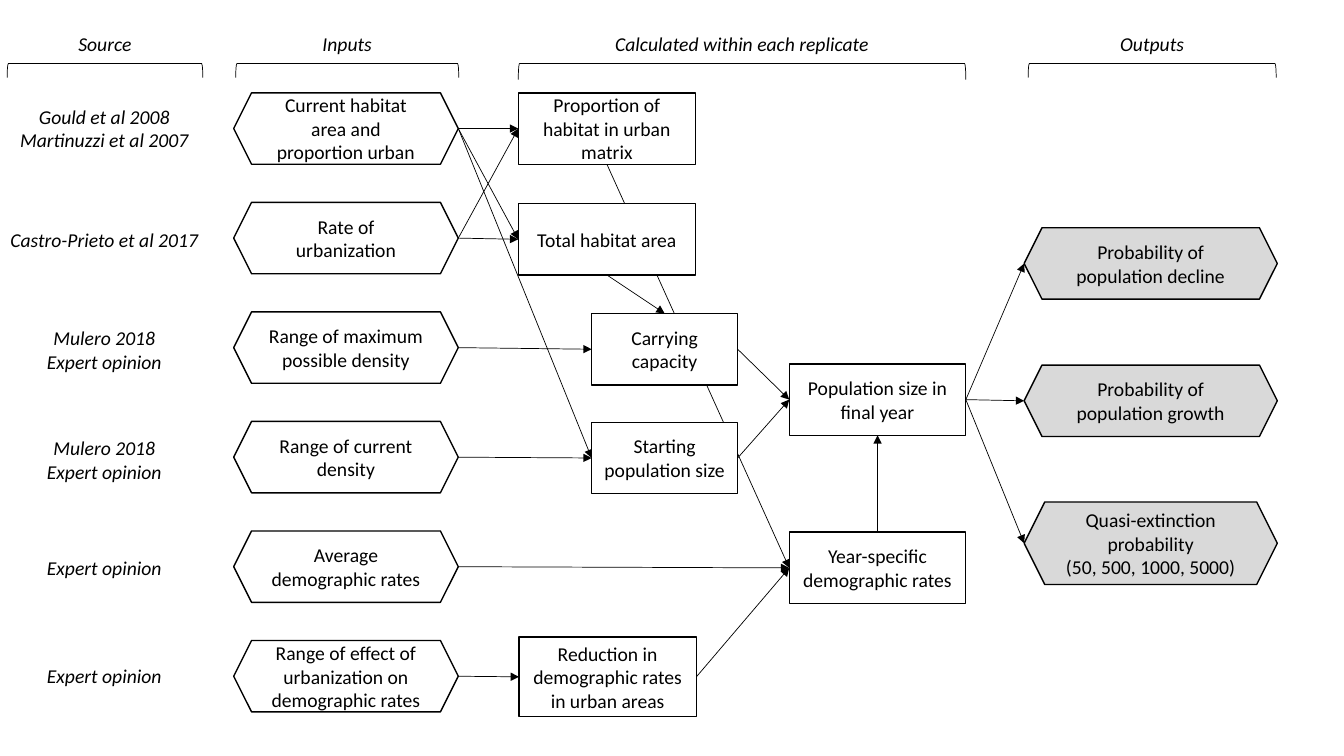
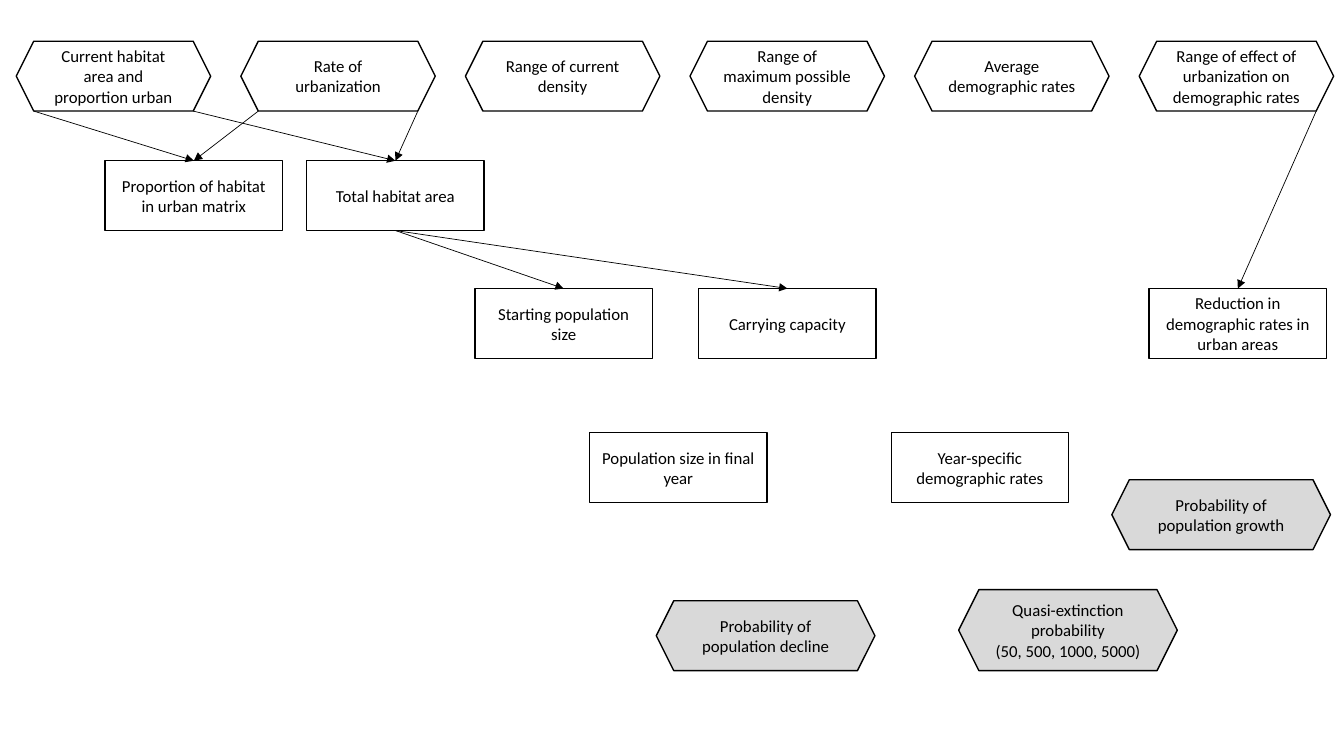
from dataclasses import dataclass
from typing import Optional

from lxml import etree
from pptx import Presentation
from pptx.dml.color import RGBColor
from pptx.enum.shapes import MSO_CONNECTOR, MSO_SHAPE
from pptx.enum.text import MSO_ANCHOR, MSO_AUTO_SIZE, PP_ALIGN
from pptx.oxml.ns import qn
from pptx.util import Cm, Pt

HEXAGON = MSO_SHAPE.HEXAGON
RECT = MSO_SHAPE.RECTANGLE
BRACKET = MSO_SHAPE.LEFT_BRACKET
STRAIGHT = MSO_CONNECTOR.STRAIGHT
MIDDLE = MSO_ANCHOR.MIDDLE
CENTER = PP_ALIGN.CENTER
GROW = MSO_AUTO_SIZE.SHAPE_TO_FIT_TEXT

FONT = "Calibri"
COLORS = {"ink": "000000", "white": "FFFFFF", "output": "D9D9D9"}

# Wording of the model's nodes, shared by both diagrams
TEXT = {
    "habitat": "Current habitat area and proportion urban",
    "rate": "Rate of urbanization",
    "max density": "Range of maximum possible density",
    "density": "Range of current density",
    "average": "Average demographic rates",
    "effect": "Range of effect of urbanization on demographic rates",
    "proportion": "Proportion of habitat in urban matrix",
    "total": "Total habitat area",
    "capacity": "Carrying capacity",
    "start": "Starting population size",
    "reduction": "Reduction in demographic rates in urban areas",
    "final": "Population size in final year",
    "yearly": "Year-specific demographic rates",
    "decline": "Probability of population decline",
    "growth": "Probability of population growth",
    "extinction": "Quasi-extinction probability\n(50, 500, 1000, 5000)",
}


@dataclass
class Node:
    """Place and look of one node, in centimetres."""
    left: float
    top: float
    width: float
    height: float
    kind: int = RECT
    fill: Optional[str] = None

    def anchor(self, side):
        right, bottom = self.left + self.width, self.top + self.height
        inset = self.height / 4  # slanted corner of a hexagon
        return {
            "left": (self.left, self.top + self.height / 2),
            "right": (right, self.top + self.height / 2),
            "top": (self.left + self.width / 2, self.top),
            "bottom": (self.left + self.width / 2, bottom),
            "bottom left": (self.left + inset, bottom),
            "bottom right": (right - inset, bottom),
        }[side]


def rgb(name):
    return RGBColor.from_string(COLORS[name])


def set_text(sp, text, size, italic=False):
    tf = sp.text_frame
    tf.word_wrap = True
    tf.text = text
    for p in tf.paragraphs:
        p.alignment = CENTER
        p.font.name = FONT
        p.font.size = Pt(size)
        p.font.italic = italic
        p.font.color.rgb = rgb("ink")
    return tf


def add_outline(s, kind, left, top, width, height, weight, fill=None):
    sp = s.shapes.add_shape(kind, Cm(left), Cm(top), Cm(width), Cm(height))
    sp.shadow.inherit = False
    sp.line.color.rgb = rgb("ink")
    sp.line.width = Pt(weight)
    if fill:
        sp.fill.solid()
        sp.fill.fore_color.rgb = rgb(fill)
    else:
        sp.fill.background()
    return sp


def add_nodes(s, nodes, size):
    for name, n in nodes.items():
        sp = add_outline(s, n.kind, n.left, n.top, n.width, n.height, 1, n.fill)
        set_text(sp, TEXT[name], size).vertical_anchor = MIDDLE


def add_arrows(s, nodes, links):
    for start, start_side, end, end_side in links:
        points = nodes[start].anchor(start_side) + nodes[end].anchor(end_side)
        line = s.shapes.add_connector(STRAIGHT, *(Cm(v) for v in points))
        line.line.color.rgb = rgb("ink")
        line.line.width = Pt(0.5)
        ln = line.line._get_or_add_ln()
        etree.SubElement(ln, qn("a:tailEnd"), type="triangle")
        etree.SubElement(line._element.spPr, qn("a:effectLst"))


def add_label(s, text, left, top, width):
    height = 0.86 if "\n" not in text else 1.45
    sp = s.shapes.add_textbox(Cm(left), Cm(top), Cm(width), Cm(height))
    set_text(sp, text, 14, italic=True).auto_size = GROW


def add_heading(s, text, left, width, depth=0.36):
    """Column title above a bracket that spans the column."""
    add_label(s, text, left, 0.69, width)
    middle = 1.6 + depth / 2
    sp = add_outline(s, BRACKET, left + (width - depth) / 2,
                     middle - width / 2, depth, width, 0.5)
    sp.rotation = 90


def across(*pairs):
    return [(start, "right", end, "left") for start, end in pairs]


def build_full_model(s):
    # Nodes
    inputs = ["habitat", "rate", "max density", "density", "average", "effect"]
    nodes = {name: Node(5.89, 2.34 + 2.76 * i, 5.66, 1.8, HEXAGON)
             for i, name in enumerate(inputs)}
    nodes |= {
        "proportion": Node(13.06, 2.34, 4.47, 1.8),
        "total": Node(13.06, 5.13, 4.47, 1.8, fill="white"),
        "capacity": Node(14.91, 7.9, 3.68, 1.8, fill="white"),
        "start": Node(14.91, 10.64, 3.68, 1.8, fill="white"),
        "reduction": Node(13.08, 16.05, 4.47, 2.01),
        "final": Node(19.89, 9.17, 4.45, 1.8),
        "yearly": Node(19.89, 13.41, 4.45, 1.8),
        "decline": Node(25.81, 5.74, 6.38, 1.8, HEXAGON, "output"),
        "growth": Node(25.81, 9.2, 6.38, 1.8, HEXAGON, "output"),
        "extinction": Node(25.81, 12.65, 6.38, 2.08, HEXAGON, "output"),
    }

    # Long arrows pass behind the nodes, the others lie in front
    add_arrows(s, nodes, across(("habitat", "start"))
               + [("proportion", "bottom", "yearly", "left")])
    add_nodes(s, nodes, 14)
    add_arrows(s, nodes, across(
        ("habitat", "proportion"), ("habitat", "total"),
        ("rate", "proportion"), ("rate", "total"),
        ("max density", "capacity"), ("density", "start"),
        ("average", "yearly"), ("effect", "reduction"),
        ("reduction", "yearly"), ("capacity", "final"), ("start", "final"),
        ("final", "decline"), ("final", "growth"), ("final", "extinction"),
    ) + [("yearly", "top", "final", "bottom"),
         ("total", "bottom", "capacity", "top")])

    # Column headings
    add_heading(s, "Source", 0.18, 4.93)
    add_heading(s, "Inputs", 5.94, 5.62)
    add_heading(s, "Calculated within each replicate", 13.06, 11.28, 0.41)
    add_heading(s, "Outputs", 25.91, 6.25)

    # Sources
    for top, text in [
        (2.51, "Gould et al 2008\nMartinuzzi et al 2007"),
        (5.61, "Castro-Prieto et al 2017"),
        (8.1, "Mulero 2018\nExpert opinion"),
        (10.87, "Mulero 2018\nExpert opinion"),
        (13.89, "Expert opinion"),
        (16.61, "Expert opinion"),
    ]:
        add_label(s, text, -0.05, top, 5.36)


def build_top_down_model(s):
    # Nodes
    inputs = ["habitat", "rate", "density", "max density", "average", "effect"]
    nodes = {name: Node(0.41 + 5.66 * i, 1.04, 4.9, 1.76, HEXAGON)
             for i, name in enumerate(inputs)}
    calculated = {
        "proportion": (2.65, 4.05), "total": (7.73, 4.05),
        "start": (11.97, 7.27), "capacity": (17.61, 7.27),
        "reduction": (28.96, 7.27),
        "final": (14.86, 10.9), "yearly": (22.46, 10.9),
    }
    nodes |= {name: Node(*at, 4.47, 1.76) for name, at in calculated.items()}
    nodes |= {
        "decline": Node(16.54, 15.14, 5.51, 1.76, HEXAGON, "output"),
        "growth": Node(28.02, 12.09, 5.51, 1.76, HEXAGON, "output"),
        "extinction": Node(24.16, 14.86, 5.51, 2.04, HEXAGON, "output"),
    }
    add_nodes(s, nodes, 12)

    # Arrows
    add_arrows(s, nodes, [
        ("habitat", "bottom left", "proportion", "top"),
        ("habitat", "bottom right", "total", "top"),
        ("rate", "bottom left", "proportion", "top"),
        ("rate", "bottom right", "total", "top"),
        ("total", "bottom", "start", "top"),
        ("total", "bottom", "capacity", "top"),
        ("effect", "bottom right", "reduction", "top"),
    ])


def main():
    prs = Presentation()
    prs.slide_width, prs.slide_height = Cm(33.87), Cm(19.05)
    blank = prs.slide_layouts[6]
    for build in (build_full_model, build_top_down_model):
        build(prs.slides.add_slide(blank))
    prs.save("out.pptx")


main()
